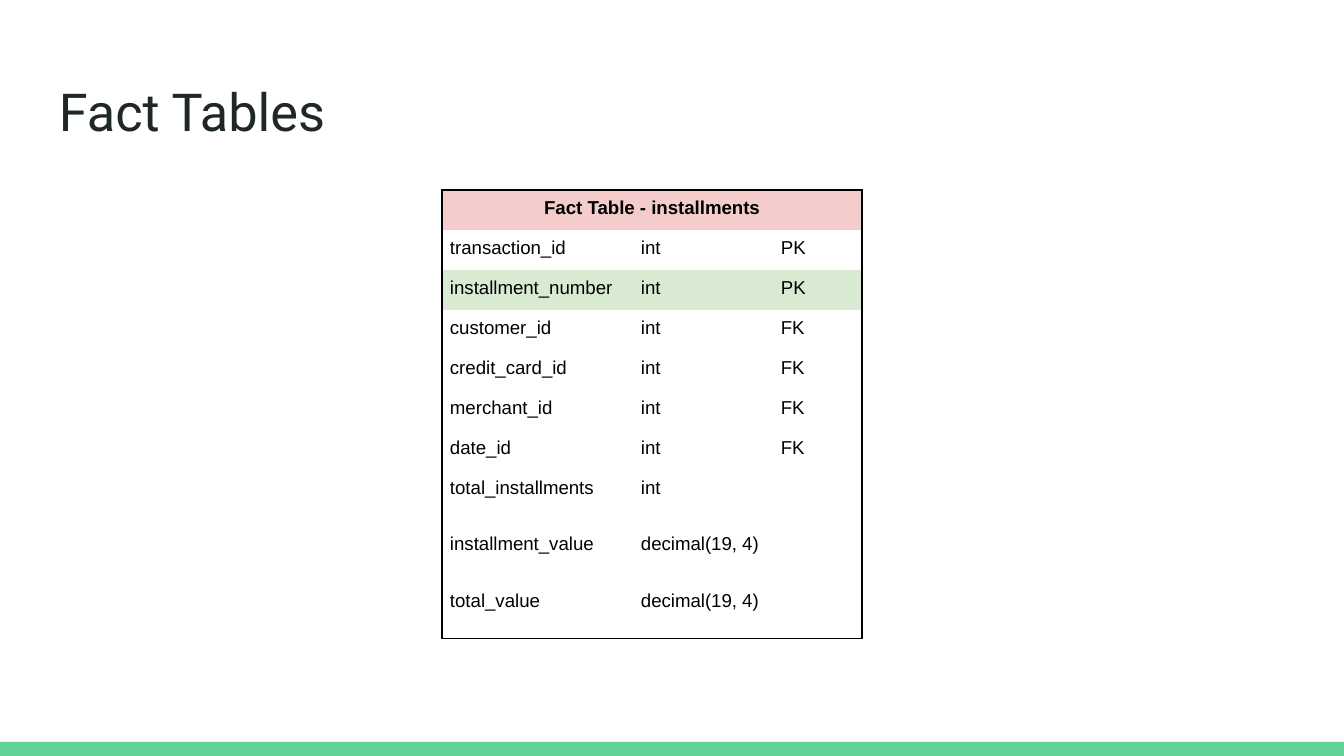
from lxml.etree import SubElement
from pptx import Presentation
from pptx.dml.color import RGBColor
from pptx.enum.shapes import MSO_SHAPE
from pptx.enum.text import PP_ALIGN
from pptx.oxml.ns import qn
from pptx.util import Emu, Pt

PX_PER_INCH = 134.4
BLACK = RGBColor(0x00, 0x00, 0x00)
INK = RGBColor(0x20, 0x27, 0x29)
GREEN = RGBColor(0x63, 0xD2, 0x97)
PINK = RGBColor(0xF4, 0xCC, 0xCC)
PALE_GREEN = RGBColor(0xD9, 0xEA, 0xD3)

TABLE_TITLE = "Fact Table - installments"
FIELDS = [
    ("transaction_id", "int", "PK"),
    ("installment_number", "int", "PK"),
    ("customer_id", "int", "FK"),
    ("credit_card_id", "int", "FK"),
    ("merchant_id", "int", "FK"),
    ("date_id", "int", "FK"),
    ("total_installments", "int", ""),
    ("installment_value", "decimal(19, 4)", ""),
    ("total_value", "decimal(19, 4)", ""),
]
COLUMN_WIDTHS = [191, 140, 89]
KEYED_HEIGHT, UNKEYED_HEIGHT = 40, 55
ROW_FILLS = {0: PINK, 2: PALE_GREEN}


def px(length):
    """Turn pixels into EMU."""
    return Emu(round(length * 914400 / PX_PER_INCH))


def add_run(para, text, font, size, color, bold=False):
    """Add one formatted run to a paragraph."""
    span = para.add_run()
    span.text = text
    span.font.name = font
    span.font.size = Pt(size)
    span.font.bold = bold
    span.font.color.rgb = color


def set_insets(target, inset):
    """Give a cell or text frame the same margin on each side."""
    target.margin_left = target.margin_right = px(inset)
    target.margin_top = target.margin_bottom = px(inset)


def add_title(page, text):
    """Add the page title."""
    box = page.shapes.add_textbox(px(46), px(66), px(1252), px(84))
    frame = box.text_frame
    frame.word_wrap = True
    set_insets(frame, 13)
    add_run(frame.paragraphs[0], text, "Roboto", 28, INK)


def add_footer_bar(page):
    """Add the coloured bar along the bottom edge."""
    bar = page.shapes.add_shape(MSO_SHAPE.RECTANGLE, 0, px(742), px(1344), px(14))
    bar.shadow.inherit = False
    bar.fill.solid()
    bar.fill.fore_color.rgb = GREEN
    bar.line.fill.background()


def set_borders(cell, visible):
    """Draw the visible edges in black and clear the others."""
    properties = cell._tc.get_or_add_tcPr()
    for edge in "LRTB":
        line = SubElement(properties, qn(f"a:ln{edge}"), w=str(Pt(1)))
        if edge in visible:
            fill = SubElement(line, qn("a:solidFill"))
            SubElement(fill, qn("a:srgbClr"), val=str(BLACK))
        else:
            SubElement(line, qn("a:noFill"))


def style_cell(cell, edges, fill):
    """Set margins, borders and fill of a cell."""
    set_insets(cell, 8)
    set_borders(cell, edges)
    if fill is None:
        cell.fill.background()
    else:
        cell.fill.solid()
        cell.fill.fore_color.rgb = fill


def add_fact_table(page):
    """Add the table of fields with its merged heading."""
    heights = [KEYED_HEIGHT] + [
        KEYED_HEIGHT if key else UNKEYED_HEIGHT for _, _, key in FIELDS
    ]
    rows = [(TABLE_TITLE, "", "")] + FIELDS
    frame = page.shapes.add_table(
        len(rows), len(COLUMN_WIDTHS), px(442), px(190),
        px(sum(COLUMN_WIDTHS)), px(sum(heights)),
    )
    table = frame.table
    for column, width in zip(table.columns, COLUMN_WIDTHS):
        column.width = px(width)
    table.cell(0, 0).merge(table.cell(0, len(COLUMN_WIDTHS) - 1))
    for row_index, values in enumerate(rows):
        table.rows[row_index].height = px(heights[row_index])
        heading = row_index == 0
        for column_index, text in enumerate(values):
            edges = "LRT" if heading else ""
            edges += "L" if column_index == 0 else ""
            edges += "R" if column_index == len(values) - 1 else ""
            edges += "B" if row_index == len(rows) - 1 else ""
            cell = table.cell(row_index, column_index)
            style_cell(cell, edges, ROW_FILLS.get(row_index))
            if text:
                para = cell.text_frame.paragraphs[0]
                para.alignment = PP_ALIGN.CENTER if heading else PP_ALIGN.LEFT
                add_run(para, text, "Arial", 10, BLACK, heading)


def main():
    """Build and save the deck."""
    deck = Presentation()
    deck.slide_width, deck.slide_height = px(1344), px(756)
    page = deck.slides.add_slide(deck.slide_layouts[6])
    add_footer_bar(page)
    add_title(page, "Fact Tables")
    add_fact_table(page)
    deck.save("out.pptx")


if __name__ == "__main__":
    main()
